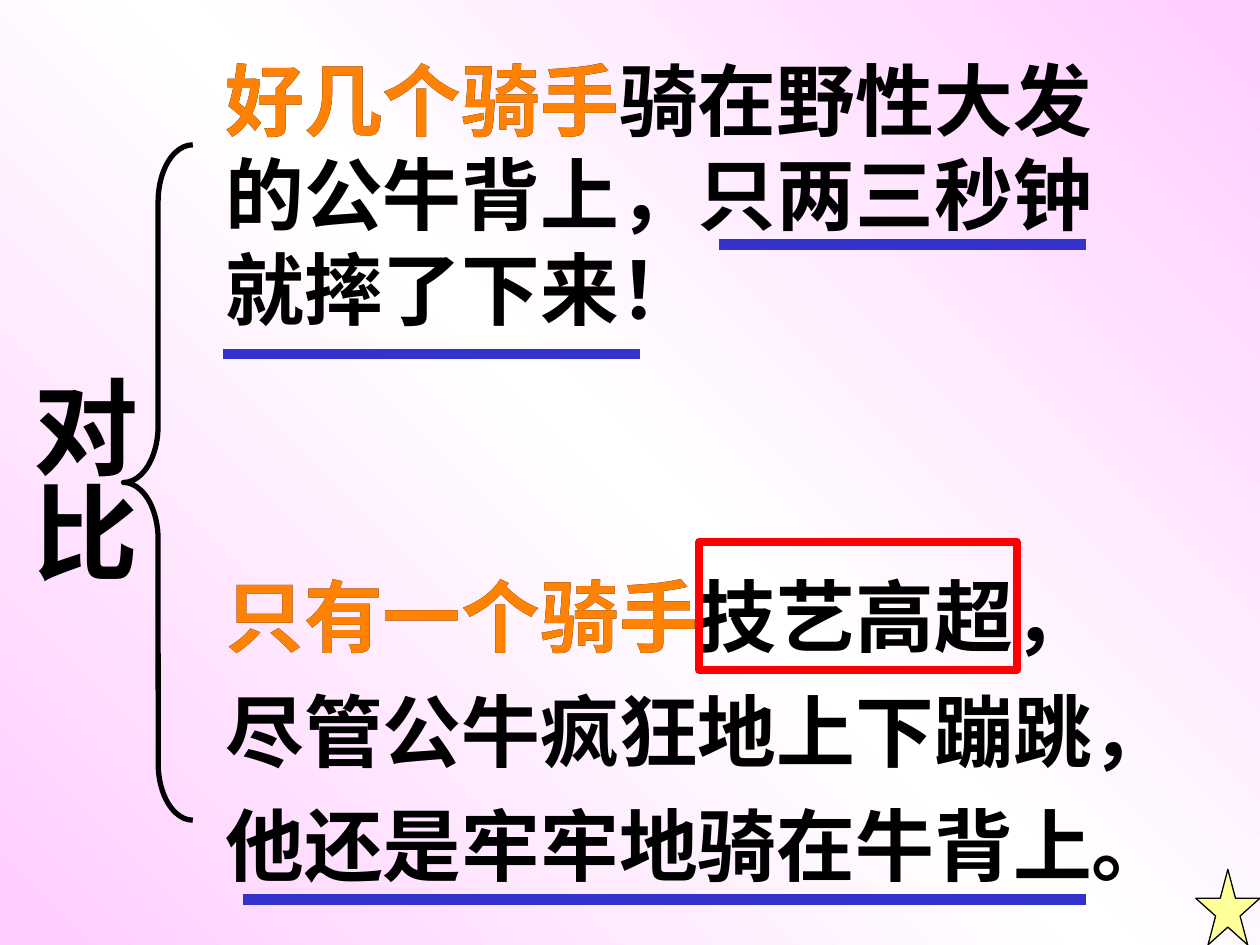
from copy import deepcopy
from lxml import etree
from pptx import Presentation
from pptx.dml.color import RGBColor
from pptx.enum.shapes import MSO_CONNECTOR as CONNECTOR, MSO_SHAPE as SHAPE
from pptx.enum.text import MSO_ANCHOR as ANCHOR
from pptx.oxml.ns import qn
from pptx.util import Inches, Pt

CJK = "Noto Sans CJK SC"
LATIN = "Times New Roman"
BLACK, ORANGE, BLUE, RED = "000000", "FF8205", "3333CC", "FF0000"
PINK, WHITE, YELLOW = "FFCCFF", "FFFFFF", "FFFF99"

ONE_RIDER = ["只有一个骑手技艺高超，", "尽管公牛疯狂地上下蹦跳，", "他还是牢牢地骑在牛背上。"]
MANY_RIDERS = ["好几个骑手骑在野性大发", "的公牛背上，只两三秒钟", "就摔了下来！"]
TEXT_LEFT, UPPER_TOP, LOWER_TOP = 1.69, 0.36, 4.46
UNDERLINES = [(5.71, 8.62, 1.94), (1.77, 5.08, 2.81), (1.93, 8.62, 7.14)]


def color(code):
    return RGBColor.from_string(code)


def paint_background(page):
    fill = page.background.fill
    fill.gradient()
    fill.gradient_angle = 45
    stop_list = page.background._cSld.find(".//" + qn("a:gsLst"))
    stop_list.append(deepcopy(stop_list[-1]))
    for stop, place, code in zip(fill.gradient_stops, (0, 0.5, 1), (PINK, WHITE, PINK)):
        stop.position = place
        stop.color.rgb = color(code)


def add_text(page, area, lines, code=BLACK, font=LATIN, size=45, space=0):
    box = page.shapes.add_textbox(*map(Inches, area))
    frame = box.text_frame
    frame.word_wrap = True
    frame.text = "\n".join(lines)
    for index, para in enumerate(frame.paragraphs):
        para.space_before = Pt(space if index else 0)
        para.font.name = font
        para.font.size = Pt(size)
        para.font.bold = True
        para.font.color.rgb = color(code)
        defaults = para._p.pPr.find(qn("a:defRPr"))
        etree.SubElement(defaults, qn("a:ea")).set("typeface", CJK)
    return frame


def add_outline(page, kind, area, code, width, fill=None):
    shape = page.shapes.add_shape(kind, *map(Inches, area))
    shape.shadow.inherit = False
    shape.line.color.rgb = color(code)
    shape.line.width = Pt(width)
    if fill:
        shape.fill.solid()
        shape.fill.fore_color.rgb = color(fill)
    else:
        shape.fill.background()
    return shape


def add_underline(page, left, right, y):
    line = page.shapes.add_connector(
        CONNECTOR.STRAIGHT, Inches(left), Inches(y), Inches(right), Inches(y))
    line.line.color.rgb = color(BLUE)
    line.line.width = Pt(6)
    etree.SubElement(line._element.spPr, qn("a:effectLst"))


def main():
    deck = Presentation()
    deck.slide_width, deck.slide_height = Inches(10), Inches(7.5)
    page = deck.slides.add_slide(deck.slide_layouts[6])
    paint_background(page)

    brace = add_outline(page, SHAPE.LEFT_BRACE, (0.98, 1.15, 0.55, 5.36), BLACK, 3)
    brace.adjustments[0] = 0.82

    add_text(page, (TEXT_LEFT, LOWER_TOP, 8.3, 2.8), ONE_RIDER, font=CJK, space=11.2)
    upper = add_text(page, (TEXT_LEFT, UPPER_TOP, 7.3, 2.35), MANY_RIDERS, font=CJK)
    upper.vertical_anchor = ANCHOR.MIDDLE
    add_text(page, (TEXT_LEFT, UPPER_TOP, 4.1, 0.85), ["好几个骑手"], ORANGE)
    add_text(page, (TEXT_LEFT, LOWER_TOP, 4.88, 0.85), ["只有一个骑手"], ORANGE)

    for underline in UNDERLINES:
        add_underline(page, *underline)
    add_outline(page, SHAPE.RECTANGLE, (5.55, 4.3, 2.52, 1.02), RED, 4.5)

    label = add_text(page, (0, 2.88, 1.2, 2.6), ["对比"], size=60)
    label.margin_left = label.margin_right = Inches(0.05)
    label.margin_top = label.margin_bottom = Inches(0.1)
    label._txBody.bodyPr.set("vert", "eaVert")

    add_outline(page, SHAPE.STAR_5_POINT, (9.49, 6.9, 0.51, 0.6), BLACK, 0.75, YELLOW)
    deck.save("out.pptx")


if __name__ == "__main__":
    main()
